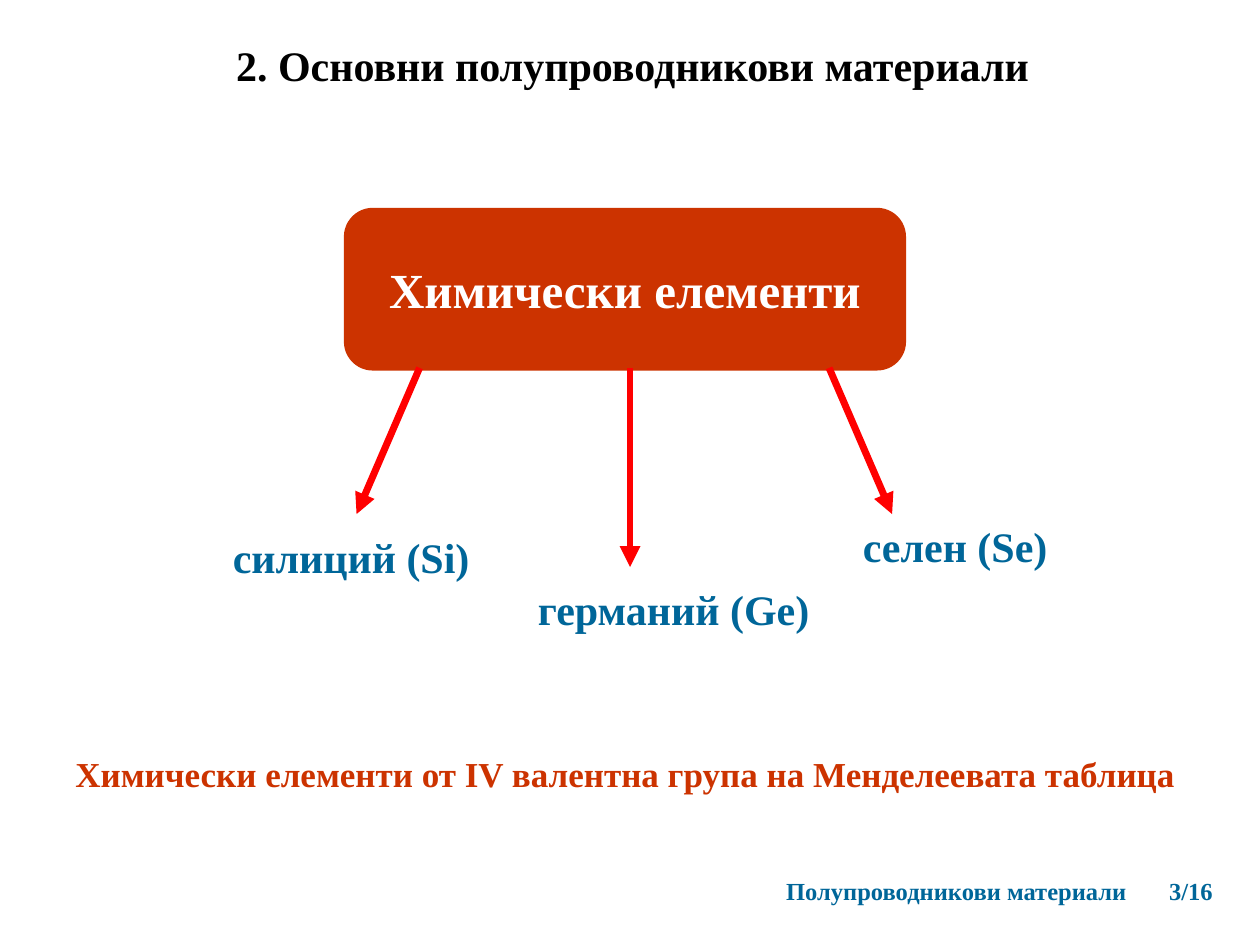
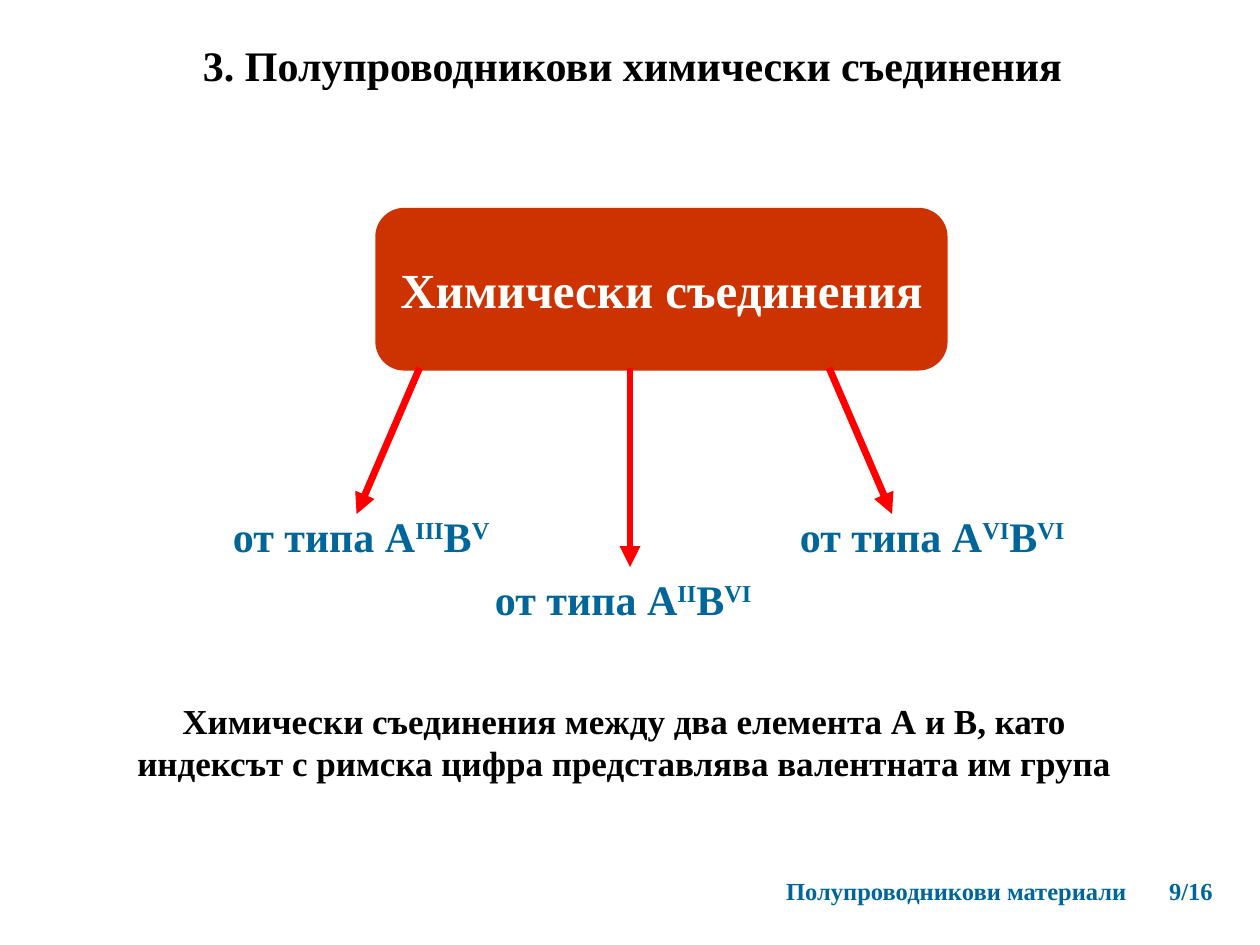
from lxml import etree
from pptx import Presentation
from pptx.dml.color import RGBColor
from pptx.enum.shapes import MSO_CONNECTOR, MSO_SHAPE
from pptx.enum.text import MSO_ANCHOR, MSO_AUTO_SIZE, PP_ALIGN
from pptx.oxml.ns import qn
from pptx.util import Inches, Pt

LEFT, CENTER = PP_ALIGN.LEFT, PP_ALIGN.CENTER
TOP, MIDDLE = MSO_ANCHOR.TOP, MSO_ANCHOR.MIDDLE
ROUND, STRAIGHT = MSO_SHAPE.ROUNDED_RECTANGLE, MSO_CONNECTOR.STRAIGHT
NO_FIT = MSO_AUTO_SIZE.NONE

FONT = "Times New Roman"
HUES = {"black": "000000", "white": "FFFFFF", "blue": "006699",
        "rust": "CC3300", "red": "FF0000"}
TITLE = (1.27, 0.26, 7.5, 0.5)
FOOTER = (6.14, 6.9, 3.61, 0.33)
PAGES = 16

# Arrow start and end, relative to the middle of the fan's top edge
FAN = (5, 2.92)
ARROWS = [((-1.67, 0), (-2.17, 1.16)),
          ((0, 0), (0, 1.58)),
          ((1.58, 0), (2.08, 1.16))]


def hue(name):
    return RGBColor.from_string(HUES[name])


def inch(box):
    return [Inches(v) for v in box]


def write(shape, text, size=24, color="blue", align=LEFT, anchor=TOP,
          space=None, tab=None):
    """Fill a shape with bold text; parts between ^ marks are raised."""
    frame = shape.text_frame
    frame.word_wrap = True
    frame.auto_size = NO_FIT
    frame.vertical_anchor = anchor
    para = frame.paragraphs[0]
    para.alignment = align
    if space:
        para.line_spacing = space
    if tab:
        stops = etree.SubElement(para._p.get_or_add_pPr(), qn("a:tabLst"))
        etree.SubElement(stops, qn("a:tab"), pos=str(Inches(tab)), algn="l")
    for i, part in enumerate(text.split("^")):
        if not part:
            continue
        run = para.add_run()
        run.text = part
        font = run.font
        font.name, font.size, font.bold = FONT, Pt(size), True
        font.color.rgb = hue(color)
        if i % 2:
            run._r.get_or_add_rPr().set("baseline", "30000")


def add_text(slide, box, text, **look):
    write(slide.shapes.add_textbox(*inch(box)), text, **look)


def add_frame(slide, title, page):
    """Title and footer, shared by all slides."""
    head = slide.shapes.title
    head.left, head.top, head.width, head.height = inch(TITLE)
    write(head, title, color="black", align=CENTER)
    add_text(slide, FOOTER, f"Полупроводникови материали\t{page}/{PAGES}",
             size=14, tab=3.04)


def add_topic(slide, box, text):
    """Rounded box that heads the diagram."""
    topic = slide.shapes.add_shape(ROUND, *inch(box))
    topic.adjustments[0] = 0.167
    topic.shadow.inherit = False
    topic.fill.solid()
    topic.fill.fore_color.rgb = hue("rust")
    topic.line.color.rgb = hue("rust")
    topic.line.width = Pt(3)
    write(topic, text, size=28, color="white", align=CENTER, anchor=MIDDLE)


def add_fan(slide, origin):
    """Three arrows that spread below the topic."""
    x, y = origin
    for (ax, ay), (bx, by) in ARROWS:
        ends = inch((x + ax, y + ay, x + bx, y + by))
        arrow = slide.shapes.add_connector(STRAIGHT, *ends)
        arrow.line.color.rgb = hue("red")
        arrow.line.width = Pt(4)
        etree.SubElement(arrow.line._get_or_add_ln(), qn("a:tailEnd"),
                         type="triangle")
        etree.SubElement(arrow._element.spPr, qn("a:effectLst"))


def add_slide(deck, title, page, topic, labels, note, space=None):
    """Slide with a topic, three arrows, their labels and a note."""
    slide = deck.slides.add_slide(deck.slide_layouts[5])
    add_frame(slide, title, page)
    add_topic(slide, *topic)
    add_fan(slide, FAN)
    for box, text in labels:
        add_text(slide, box, text, space=space)
    box, text, color, align = note
    add_text(slide, box, text, size=20, color=color, align=align)


def main():
    deck = Presentation()
    deck.slide_width, deck.slide_height = inch((10, 7.5))

    # Elements
    add_slide(
        deck, "2. Основни полупроводникови материали", 3,
        ((2.75, 1.67, 4.42, 1.25), "Химически елементи"),
        [((1.75, 3.67, 2.33, 1), "силиций (Si)"),
         ((4.17, 4.08, 2.5, 1), "германий (Ge)"),
         ((6.75, 3.58, 1.83, 1), "селен (Se)")],
        ((0.5, 5.92, 9, 0.43),
         "Химически елементи от IV валентна група на Менделеевата таблица",
         "rust", LEFT),
        space=2.25)

    # Compounds
    add_slide(
        deck, "3. Полупроводникови химически съединения", 9,
        ((3, 1.67, 4.5, 1.25), "Химически съединения"),
        [((1.75, 4, 2.3, 0.5), "от типа A^III^B^V"),
         ((3.83, 4.5, 2.3, 0.5), "от типа A^II^B^VI"),
         ((6.25, 4, 2.37, 0.5), "от типа A^VI^B^VI")],
        ((0.83, 5.5, 8.25, 0.77),
         "Химически съединения между два елемента А и В, като "
         "индексът с римска цифра представлява валентната им група",
         "black", CENTER))

    deck.save("out.pptx")


if __name__ == "__main__":
    main()
